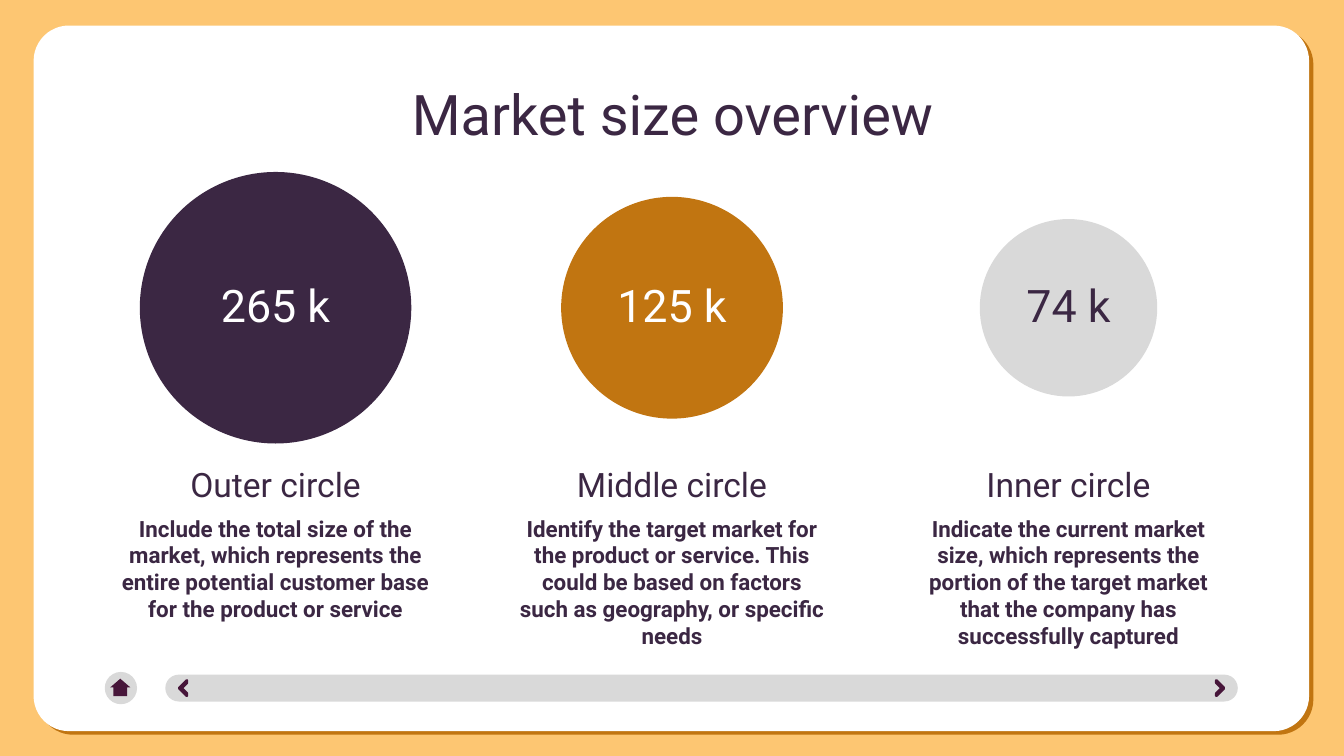
"""Build a market size slide with three scaled circles and a navigation bar."""

from lxml.etree import SubElement
from pptx import Presentation
from pptx.dml.color import RGBColor
from pptx.enum.shapes import MSO_SHAPE
from pptx.enum.text import MSO_ANCHOR, MSO_AUTO_SIZE, PP_ALIGN
from pptx.oxml.ns import qn
from pptx.util import Inches, Pt

PLUM = RGBColor(0x3B, 0x27, 0x43)
OCHRE = RGBColor(0xC1, 0x75, 0x11)
GREY = RGBColor(0xD9, 0xD9, 0xD9)
WINE = RGBColor(0x47, 0x16, 0x3A)
SAND = RGBColor(0xFD, 0xC6, 0x72)
WHITE = RGBColor(0xFF, 0xFF, 0xFF)

FONT = "Roboto"
TITLE = "Market size overview"
MARKETS = [
    ("265 k", 2.02, PLUM, WHITE, "Outer circle",
     "Include the total size of the market, which represents the entire "
     "potential customer base for the product or service"),
    ("125 k", 1.65, OCHRE, WHITE, "Middle circle",
     "Identify the target market for the product or service. This could be "
     "based on factors such as geography, or specific needs"),
    ("74 k", 1.32, GREY, PLUM, "Inner circle",
     "Indicate the current market size, which represents the portion of the "
     "target market that the company has successfully captured"),
]
CHEVRONS = [(1.35, 315), (9.01, 135)]

MIDDLE = 5
COLUMN_STEP = 2.95
COLUMN_WIDTH = 2.52
VALUE_WIDTH = 2.29
CIRCLE_MIDDLE = 2.29


def add_figure(page, kind, left, top, width, height, fill, adjustments=(), rotation=0):
    figure = page.shapes.add_shape(
        kind, Inches(left), Inches(top), Inches(width), Inches(height))
    figure.shadow.inherit = False
    figure.fill.solid()
    figure.fill.fore_color.rgb = fill
    figure.line.fill.background()
    figure.rotation = rotation
    for index, value in enumerate(adjustments):
        figure.adjustments[index] = value
    return figure


def add_hard_shadow(figure, color, distance, degrees):
    effects = figure.element.spPr.find(qn("a:effectLst"))
    shadow = SubElement(effects, qn("a:outerShdw"), blurRad="0",
                        dist=str(Pt(distance)), dir=str(degrees * 60000),
                        algn="bl", rotWithShape="0")
    SubElement(shadow, qn("a:srgbClr"), val=str(color))


def write(box, text, *, size, color=PLUM, bold=False, anchor=MSO_ANCHOR.TOP):
    frame = box.text_frame
    frame.word_wrap = True
    frame.auto_size = MSO_AUTO_SIZE.NONE
    frame.vertical_anchor = anchor
    frame.margin_left = frame.margin_right = Inches(0.1)
    frame.margin_top = frame.margin_bottom = Inches(0.1)
    para = frame.paragraphs[0]
    para.alignment = PP_ALIGN.CENTER
    span = para.add_run()
    span.text = text
    span.font.name = FONT
    span.font.size = Pt(size)
    span.font.bold = bold
    span.font.color.rgb = color


def add_centered_text(page, text, center, top, width, height, **style):
    box = page.shapes.add_textbox(
        Inches(center - width / 2), Inches(top), Inches(width), Inches(height))
    write(box, text, **style)


def add_navigation(page):
    add_figure(page, MSO_SHAPE.ROUNDED_RECTANGLE, 1.23, 5.02, 7.98, 0.2, GREY, [0.5])
    for left, rotation in CHEVRONS:
        chevron = add_figure(page, MSO_SHAPE.HALF_FRAME, left, 5.08, 0.08, 0.08,
                             WINE, [0.15, 0.15], rotation)
        chevron.line.color.rgb = WINE
        chevron.line.width = Pt(1.5)
    add_figure(page, MSO_SHAPE.OVAL, 0.78, 5, 0.24, 0.24, GREY)
    add_figure(page, MSO_SHAPE.RIGHT_ARROW, 0.83, 5.04, 0.13, 0.15, WINE, [0.67, 0.5], 270)


def add_market(page, center, value, diameter, fill, value_color, name, description):
    add_figure(page, MSO_SHAPE.OVAL, center - diameter / 2,
               CIRCLE_MIDDLE - diameter / 2, diameter, diameter, fill)
    add_centered_text(page, value, center, 2, VALUE_WIDTH, 0.57,
                      size=24, color=value_color, anchor=MSO_ANCHOR.BOTTOM)
    add_centered_text(page, name, center, 3.35, COLUMN_WIDTH, 0.5,
                      size=18, anchor=MSO_ANCHOR.BOTTOM)
    add_centered_text(page, description, center, 3.73, COLUMN_WIDTH, 1.15,
                      size=12, bold=True)


def main():
    deck = Presentation()
    deck.slide_width = Inches(10)
    deck.slide_height = deck.slide_width * 9 // 16
    page = deck.slides.add_slide(deck.slide_layouts[5])
    page.background.fill.solid()
    page.background.fill.fore_color.rgb = SAND

    title = page.shapes.title
    title.left, title.top = Inches(0.79), Inches(0.49)
    title.width, title.height = Inches(8.43), Inches(0.63)
    write(title, TITLE, size=30)

    card = add_figure(page, MSO_SHAPE.ROUNDED_RECTANGLE,
                      0.25, 0.19, 9.49, 5.25, WHITE, [0.05])
    add_hard_shadow(card, OCHRE, 3, 40)
    page.shapes.element.remove(title.element)
    page.shapes.element.append(title.element)

    add_navigation(page)
    for index, market in enumerate(MARKETS):
        add_market(page, MIDDLE + (index - 1) * COLUMN_STEP, *market)
    deck.save("out.pptx")


if __name__ == "__main__":
    main()
